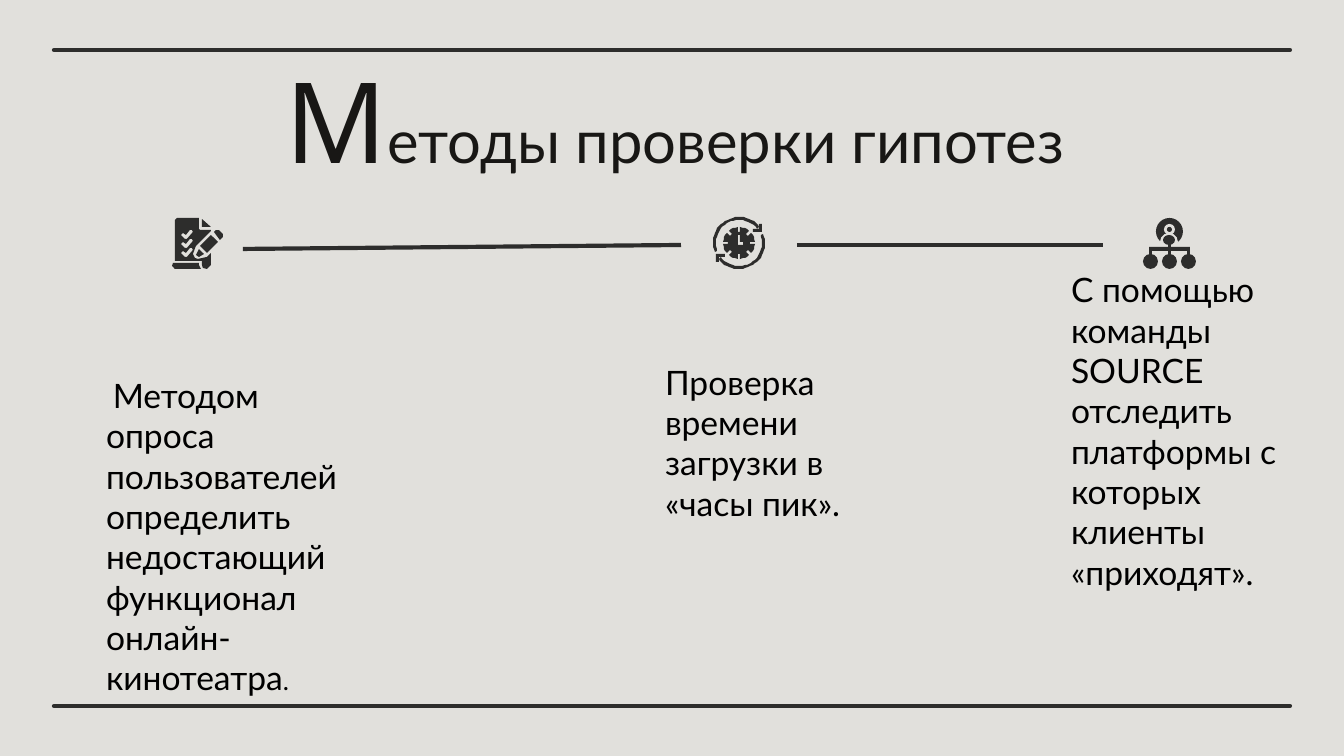
from dataclasses import dataclass
from math import cos, radians, sin

from lxml import etree
from pptx import Presentation
from pptx.dml.color import RGBColor
from pptx.enum.shapes import MSO_CONNECTOR, MSO_SHAPE
from pptx.enum.text import MSO_ANCHOR, MSO_AUTO_SIZE, PP_ALIGN
from pptx.oxml.ns import qn
from pptx.util import Pt

STRAIGHT = MSO_CONNECTOR.STRAIGHT
RECT, OVAL = MSO_SHAPE.RECTANGLE, MSO_SHAPE.OVAL
TOP, BOTTOM = MSO_ANCHOR.TOP, MSO_ANCHOR.BOTTOM
LEFT, CENTER = PP_ALIGN.LEFT, PP_ALIGN.CENTER
NO_FIT = MSO_AUTO_SIZE.NONE
SIDE_LEFT, SIDE_RIGHT = 1, 3
SCALE = 914400 / 134.4


@dataclass(frozen=True)
class Theme:
    paper: str = "E1E0DC"
    ink: str = "2D2D2C"
    title: str = "181715"
    body: str = "000000"
    font: str = "Lato"
    initial_font: str = "Comic Neue"
    initial_size: int = 60
    title_size: int = 32
    body_size: int = 18
    small_size: int = 14
    line: float = 2.25
    inset: int = 13


THEME = Theme()


def px(n):
    return round(n * SCALE)


def paint(sp, color):
    sp.shadow.inherit = False
    sp.fill.solid()
    sp.fill.fore_color.rgb = RGBColor.from_string(color)
    sp.line.fill.background()
    return sp


def add_preset(s, kind, box, color):
    return paint(s.shapes.add_shape(kind, *map(px, box)), color)


def add_outline(s, *contours, color=THEME.ink):
    """Fill the first contour; the others are holes in it."""
    first, *holes = contours
    builder = s.shapes.build_freeform(*first[0], scale=SCALE)
    builder.add_line_segments(first[1:], close=True)
    for hole in holes:
        builder.move_to(*hole[0])
        builder.add_line_segments(hole[1:], close=True)
    return paint(builder.convert_to_shape(), color)


def add_line(s, start, end, begin=None, finish=None, cap="flat"):
    c = s.shapes.add_connector(STRAIGHT, *map(px, (*start, *end)))
    if begin is not None:
        c.begin_connect(begin, SIDE_RIGHT)
    if finish is not None:
        c.end_connect(finish, SIDE_LEFT)
    c.line.color.rgb = RGBColor.from_string(THEME.ink)
    c.line.width = Pt(THEME.line)
    sp_pr = c._element.spPr
    sp_pr.find(qn("a:ln")).set("cap", cap)
    etree.SubElement(sp_pr, qn("a:effectLst"))


def write(sp, runs, color, anchor=TOP, align=LEFT, bottom=THEME.inset):
    tf = sp.text_frame
    inset = px(THEME.inset)
    frame = dict(word_wrap=True, auto_size=NO_FIT, vertical_anchor=anchor,
                 margin_left=inset, margin_right=inset, margin_top=inset,
                 margin_bottom=px(bottom))
    for name, value in frame.items():
        setattr(tf, name, value)
    p = tf.paragraphs[0]
    p.alignment = align
    for text, size, font in runs:
        r = p.add_run()
        r.text = text
        for name, value in dict(size=Pt(size), name=font).items():
            setattr(r.font, name, value)
        r.font.color.rgb = RGBColor.from_string(color)


def add_title(s, box, runs):
    sp = s.shapes.title
    for name, value in zip(("left", "top", "width", "height"), box):
        setattr(sp, name, px(value))
    write(sp, runs, THEME.title, align=CENTER)


def add_text(s, box, runs, **layout):
    write(s.shapes.add_textbox(*map(px, box)), runs, THEME.body, **layout)


def polar(cx, cy, radius, degrees):
    a = radians(degrees)
    return cx + radius * cos(a), cy + radius * sin(a)


def add_survey_icon(s):
    check = [(192, 230), (193, 232), (187, 239), (185, 239),
             (181, 235), (183, 233), (186, 235), (190, 230)]
    checks = [[(x, y + dy) for x, y in check] for dy in (0, 9, 18)]
    sheet = [(175, 220), (177, 218), (199, 218), (199, 229), (200, 230),
             (211, 230), (211, 231), (196, 246), (193, 254), (195, 258),
             (198, 259), (207, 257), (211, 253), (211, 265), (207, 269),
             (203, 268), (202, 265), (202, 261), (175, 261)]
    add_outline(s, sheet, *checks)
    eraser = [(214, 232), (216, 230), (219, 230), (223, 234), (223, 237), (220, 240)]
    tip = [(199, 249), (196, 255), (199, 257), (204, 254)]
    pencil = [(211, 235), (200, 246), (207, 253), (218, 242)]
    fold = [(202, 219), (202, 227), (211, 227)]
    scroll = [(173, 263), (199, 263), (199, 265), (201, 269), (175, 269), (172, 266)]
    for part in (eraser, tip, pencil, fold, scroll):
        add_outline(s, part)


def add_clock_icon(s, cx, cy):
    for turn in (0, 180):
        angles = range(-20 + turn, 143 + turn, 6)
        add_outline(s, [polar(cx, cy, 26, a) for a in angles]
                    + [polar(cx, cy, 23, a) for a in reversed(angles)])
        sign = -1 if turn else 1
        arrow = [(-23, 11), (-14, 11), (-14, 14), (-20, 14), (-20, 19), (-23, 19)]
        add_outline(s, [(cx + sign * x, cy + sign * y) for x, y in arrow])
    face = []
    for notch in range(0, 360, 45):
        face += [polar(cx, cy, r, notch + a)
                 for r, a in ((16, -5), (11, -7), (11, 7), (16, 5))]
        face += [polar(cx, cy, 16, notch + a) for a in (15, 22, 30)]
    hands = [(-1, -8), (1, -8), (1, -1), (4, -1), (4, 2), (-1, 2)]
    add_outline(s, face, [(cx + x, cy + y) for x, y in hands])


def add_team_icon(s, cx):
    person = (((cx - 13, 218, 27, 27), THEME.ink),
              ((cx - 9, 233, 18, 18), THEME.paper),
              ((cx - 5, 224, 11, 11), THEME.paper),
              ((cx - 2, 227, 5, 5), THEME.ink),
              ((cx - 6, 235, 12, 10), THEME.ink))
    for box, color in person:
        add_preset(s, OVAL, box, color)
    add_preset(s, RECT, (cx - 20, 247, 41, 4), THEME.ink)
    add_preset(s, RECT, (cx - 1, 244, 3, 12), THEME.ink)
    for offset in (-19, 0, 19):
        add_preset(s, RECT, (cx + offset - 1, 249, 3, 6), THEME.ink)
        add_preset(s, OVAL, (cx + offset - 7, 254, 15, 15), THEME.ink)


def main():
    prs = Presentation()
    prs.slide_width, prs.slide_height = px(1344), px(756)
    s = prs.slides.add_slide(prs.slide_layouts[5])
    s.background.fill.solid()
    s.background.fill.fore_color.rgb = RGBColor.from_string(THEME.paper)

    for y in (706, 50):
        add_line(s, (54, y), (1290, y), cap="rnd")
    clock_tile, team_tile = [add_preset(s, RECT, (x, 187, 116, 116), THEME.paper)
                             for x in (681, 1103)]

    add_title(s, (109, 38, 1133, 111),
              [("М", THEME.initial_size, THEME.initial_font),
               ("етоды проверки гипотез", THEME.title_size, THEME.font)])
    add_text(s, (1058, 343, 273, 316),
             [("С помощью команды SOURCE отследить платформы с которых клиенты "
               "«приходят».", THEME.body_size, THEME.font)],
             anchor=BOTTOM, bottom=67)
    add_text(s, (652, 344, 206, 192),
             [("Проверка времени загрузки в «часы пик».",
               THEME.body_size, THEME.font)], anchor=BOTTOM)

    add_line(s, (243, 249), (681, 245), finish=clock_tile)
    add_line(s, (797, 245), (1103, 245), begin=clock_tile, finish=team_tile)
    add_survey_icon(s)
    add_team_icon(s, 1169)
    add_clock_icon(s, 739, 243)

    add_text(s, (93, 362, 273, 298),
             [(" ", THEME.small_size, THEME.font),
              ("Методом опроса пользователей определить недостающий функционал "
               "онлайн-кинотеатра", THEME.body_size, THEME.font),
              (".", THEME.small_size, THEME.font)])
    prs.save("out.pptx")


if __name__ == "__main__":
    main()
